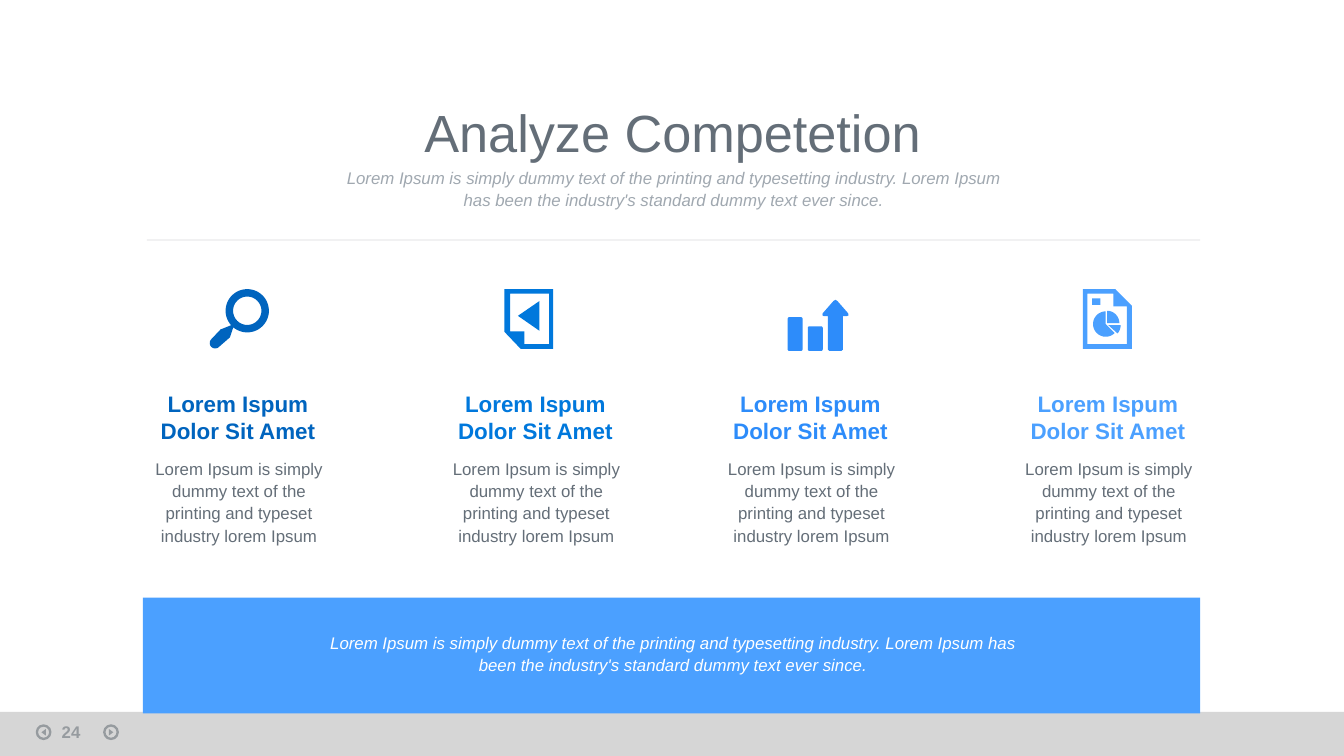
from dataclasses import dataclass
from math import cos, radians, sin

from lxml import etree
from pptx import Presentation
from pptx.dml.color import RGBColor
from pptx.enum import shapes, text
from pptx.oxml import ns
from pptx.util import Pt


@dataclass(frozen=True)
class Theme:
    font: str = "Arial"
    ink: str = "646E78"
    muted: str = "A0A8B0"
    white: str = "FFFFFF"
    footer: str = "D2D2D2"
    marker: str = "051423"
    blues: tuple = ("0064BE", "0078DC", "2D8CFA", "4BA0FF")
    title: int = 28
    heading: int = 12
    body: int = 9


def fade(sp, percent):
    """Make every colour of a shape partly transparent."""
    for clr in sp.element.iter(ns.qn("a:srgbClr")):
        etree.SubElement(clr, ns.qn("a:alpha")).set("val", str(percent * 1000))


def arc(cx, cy, radius, start, end, steps=32):
    """Points along a circle, in degrees clockwise from the right."""
    angles = [radians(start + (end - start) * i / steps) for i in range(steps + 1)]
    return [(cx + radius * cos(a), cy + radius * sin(a)) for a in angles]


def sector(cx, cy, radius, start, end):
    return [(cx, cy)] + arc(cx, cy, radius, start, end)


def box(left, top, right, bottom):
    return [(left, top), (right, top), (right, bottom), (left, bottom)]


def rounded_box(left, top, right, bottom, radius=0.9):
    corners = ((right - radius, top + radius, 270), (right - radius, bottom - radius, 0),
               (left + radius, bottom - radius, 90), (left + radius, top + radius, 180))
    return [pt for x, y, a in corners for pt in arc(x, y, radius, a, a + 90, 4)]


def magnifier():
    lens = (20.1, 11.6)
    outline = arc(*lens, 11.6, 138, 490, 60) + [(10.8, 25.9)]
    outline += arc(2.9, 28.9, 2.9, 45, 225, 16) + [(5.8, 21.6)]
    return [outline, arc(*lens, 7.6, 0, 360, 48)]


def back_page():
    return [[(0, 0), (0, 22.8), (8.8, 32), (26.2, 32), (26.2, 0)],
            [(3.2, 2.4), (24, 2.4), (24, 29.5), (10.8, 29.5), (10.8, 22.6), (3.2, 22.6)],
            [(18.8, 6.4), (7.3, 14.3), (18.8, 22.3)]]


def rising_bars():
    arrow = [(24.5, 0.7), (25.6, 0), (26.7, 0.7), (32.4, 7.2), (32.6, 8.3), (31.7, 8.8),
             (29.6, 8.8), (29.6, 26.7), (28.8, 27.4), (22.4, 27.4), (21.6, 26.7),
             (21.6, 8.8), (19.5, 8.8), (18.6, 8.3), (18.8, 7.2)]
    return [arrow, rounded_box(0, 9.3, 8, 27.4), rounded_box(10.8, 14.2, 18.8, 27.4)]


def report():
    return [[(0, 0), (0, 32), (26.2, 32), (26.2, 8.9), (17.4, 0)],
            [(2.4, 2.4), (16.3, 2.4), (16.3, 9.2), (23.5, 9.2), (23.5, 29.5), (2.4, 29.5)],
            box(4.9, 4.9, 9.3, 8.4),
            sector(12.2, 18.7, 6.8, 45, 270),
            sector(12.9, 18.2, 6.6, 270, 360),
            sector(13.6, 19.3, 6.6, 0, 42)]


class Deck:
    def __init__(self, theme):
        self.theme = theme
        self.prs = Presentation()
        self.prs.slide_width, self.prs.slide_height = Pt(720), Pt(405)
        self.slide = self.prs.slides.add_slide(self.prs.slide_layouts[6])

    def paint(self, sp, color):
        sp.shadow.inherit = False
        sp.fill.solid()
        sp.fill.fore_color.rgb = RGBColor.from_string(color)
        sp.line.fill.background()

    def shape(self, kind, left, top, width, height, color, rotation=0):
        sp = self.slide.shapes.add_shape(kind, Pt(left), Pt(top), Pt(width), Pt(height))
        sp.rotation = rotation
        self.paint(sp, color)
        return sp

    def icon(self, left, top, contours, color):
        """Draw closed contours as one shape; inner ones become holes."""
        grid = [[(x * 100, y * 100) for x, y in c] for c in contours]
        builder = self.slide.shapes.build_freeform(*grid[0][0], scale=Pt(1) / 100)
        builder.add_line_segments(grid[0][1:])
        for contour in grid[1:]:
            builder.move_to(*contour[0])
            builder.add_line_segments(contour[1:])
        self.paint(builder.convert_to_shape(Pt(left), Pt(top)), color)

    def text(self, left, top, width, height, words, size, color, bold=None, italic=None,
             spacing=None, align=text.PP_ALIGN.CENTER, anchor=text.MSO_ANCHOR.MIDDLE,
             inset=(0, 0)):
        sp = self.slide.shapes.add_textbox(Pt(left), Pt(top), Pt(width), Pt(height))
        tf = sp.text_frame
        tf.word_wrap = True
        tf.vertical_anchor = anchor
        tf.margin_left = tf.margin_right = Pt(inset[0])
        tf.margin_top = tf.margin_bottom = Pt(inset[1])
        p = tf.paragraphs[0]
        p.alignment = align
        if spacing:
            p.line_spacing = Pt(spacing)
        r = p.add_run()
        r.text = words
        r.font.name, r.font.size = self.theme.font, Pt(size)
        r.font.bold, r.font.italic = bold, italic
        r.font.color.rgb = RGBColor.from_string(color)
        return sp

    def rule(self, left, right, y, color, weight):
        line = self.slide.shapes.add_connector(
            shapes.MSO_CONNECTOR.STRAIGHT, Pt(left), Pt(y), Pt(right), Pt(y))
        line.line.color.rgb = RGBColor.from_string(color)
        line.line.width = Pt(weight)
        etree.SubElement(line.element.spPr, ns.qn("a:effectLst"))
        return line

    def nav_button(self, cx, cy, rotation):
        color = self.theme.marker
        ring = self.shape(shapes.MSO_SHAPE.OVAL, cx - 3.6, cy - 3.6, 7.2, 7.2, color)
        ring.fill.background()
        ring.line.color.rgb = RGBColor.from_string(color)
        ring.line.width = Pt(1.25)
        fade(ring, 30)
        fade(self.shape(shapes.MSO_SHAPE.ISOSCELES_TRIANGLE, cx - 1.8, cy - 1.2, 3.6, 2.4,
                        color, rotation), 30)


def main():
    theme = Theme()
    deck = Deck(theme)
    rect = shapes.MSO_SHAPE.RECTANGLE
    summary = ("Lorem Ipsum is simply dummy text of the printing and typesetting industry. "
               "Lorem Ipsum has been the industry's standard dummy text ever since.")
    detail = ("Lorem Ipsum is simply dummy text of the printing and typeset industry "
              "lorem Ipsum")

    fade(deck.shape(rect, 0, 381.4, 720, 23.6, theme.footer), 90)
    deck.nav_button(59.5, 392.3, 90)
    deck.nav_button(23.4, 392.3, 270)
    number = deck.text(26, 383, 30, 15, "24", theme.body, theme.marker, bold=True,
                       align=text.PP_ALIGN.LEFT, anchor=text.MSO_ANCHOR.TOP,
                       inset=(7.2, 3.6))
    fade(number, 30)

    deck.text(126, 52, 468.5, 37.5, "Analyze Competetion", theme.title, theme.ink)
    deck.text(180, 88, 361.5, 25, summary, theme.body, theme.muted, italic=True, spacing=12)
    fade(deck.rule(78.7, 643, 128.6, theme.ink, 0.5), 25)

    columns = ((78.5, 112.4, 154.9, magnifier), (237.8, 270.2, 154.9, back_page),
               (385.2, 422, 160.6, rising_bars), (544.5, 580.2, 154.9, report))
    for color, (left, icon_left, icon_top, draw) in zip(theme.blues, columns):
        deck.icon(icon_left, icon_top, draw(), color)
        deck.text(left, 207.2, 98, 32.4, "Lorem Ispum Dolor Sit Amet", theme.heading,
                  color, bold=True)
        deck.text(left + 0.5, 244.3, 98, 48, detail, theme.body, theme.ink, spacing=12)

    deck.shape(rect, 76.5, 320.2, 566.5, 62, theme.blues[-1])
    deck.text(175.7, 337.3, 369.4, 25, summary, theme.body, theme.white, italic=True,
              spacing=12)
    deck.prs.save("out.pptx")


if __name__ == "__main__":
    main()
